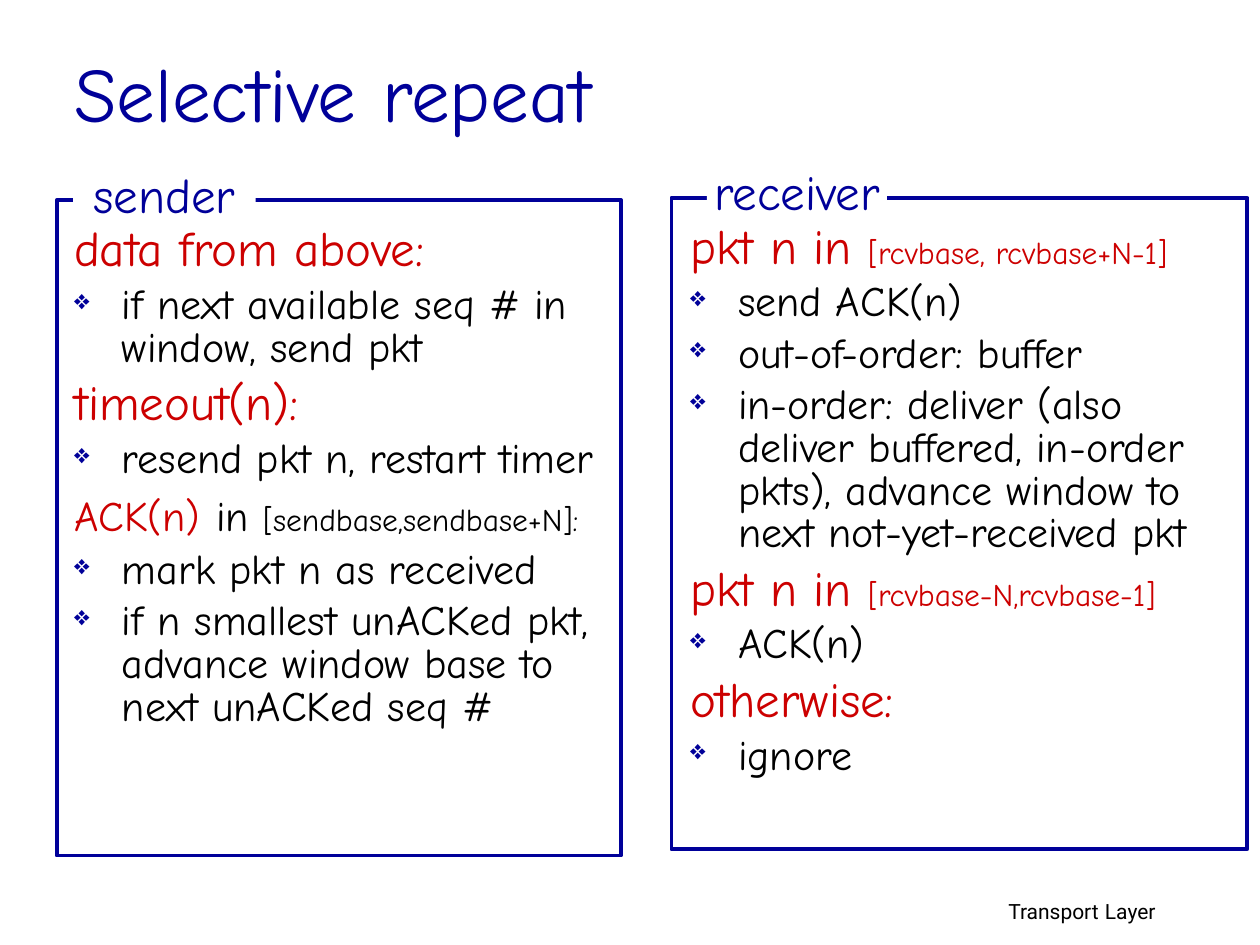
from dataclasses import dataclass

from lxml.etree import SubElement
from pptx import Presentation
from pptx.dml.color import RGBColor
from pptx.enum.shapes import MSO_SHAPE as Preset
from pptx.enum.text import MSO_ANCHOR as Anchor, PP_ALIGN as Align
from pptx.oxml.ns import qn
from pptx.util import Inches, Pt

NAVY = RGBColor(0x00, 0x00, 0x99)
RED = RGBColor(0xCC, 0x00, 0x00)
BLACK = RGBColor(0x00, 0x00, 0x00)
WHITE = RGBColor(0xFF, 0xFF, 0xFF)
HAND, SANS = "Comic Neue", "Roboto"
COLUMNS, ROWS = 100, 75
HANGING = Inches(0.38)


@dataclass(frozen=True)
class Box:
    """A rectangle in columns and rows of the slide grid."""
    column: float
    row: float
    columns: float
    rows: float


@dataclass(frozen=True)
class Span:
    """A run of text in one style."""
    text: str
    size: int = 24
    color: RGBColor = BLACK
    font: str = HAND


@dataclass(frozen=True)
class Line:
    """A heading or a bulleted item."""
    spans: tuple[Span, ...]
    bullet: bool = False


@dataclass(frozen=True)
class Panel:
    """A framed list with its name set into the top edge."""
    name: str
    body: Box
    frame: Box
    gap: Box
    label: Box
    lines: tuple[Line, ...]


def heading(text: str, detail: str = "") -> Line:
    """Return a red heading with an optional smaller detail."""
    spans = (Span(text, 28, RED),)
    return Line(spans + (Span(detail, 18, RED),) if detail else spans)


def item(text: str) -> Line:
    """Return a bulleted item."""
    return Line((Span(text),), bullet=True)


PANELS = (
    Panel("sender", Box(4.9, 17.5, 44.4, 50.8), Box(4.5, 15.9, 44.8, 52),
          Box(5.8, 12.6, 14.5, 5.7), Box(5.8, 12.6, 14.5, 5.7), (
              heading("data from above:"),
              item("if next available seq # in window, send pkt"),
              heading("timeout(n):"),
              item("resend pkt n, restart timer"),
              Line((Span("ACK(n)", color=RED), Span(" ", 28, RED), Span("in "),
                    Span("[sendbase,sendbase+N]:", 18))),
              item("mark pkt n as received"),
              item("if n smallest unACKed pkt, advance window base to next unACKed seq #"))),
    Panel("receiver", Box(53.8, 17.3, 45.3, 50.8), Box(53.3, 15.7, 45.7, 51.7),
          Box(56.1, 14.2, 14.3, 3.1), Box(54.6, 12.3, 17.3, 5.7), (
              heading("pkt n in ", "[rcvbase, rcvbase+N-1]"),
              item("send ACK(n)"),
              item("out-of-order: buffer"),
              item("in-order: deliver (also deliver buffered, in-order pkts), "
                   "advance window to next not-yet-received pkt"),
              heading("pkt n in ", "[rcvbase-N,rcvbase-1]"),
              item("ACK(n)"),
              heading("otherwise:"),
              item("ignore"))),
)


def place(deck, box: Box) -> tuple[int, int, int, int]:
    """Return left, top, width and height of a grid box."""
    across, down = deck.slide_width / COLUMNS, deck.slide_height / ROWS
    return (round(box.column * across), round(box.row * down),
            round(box.columns * across), round(box.rows * down))


def add_spans(para, spans: tuple[Span, ...]) -> None:
    """Add styled runs to a paragraph."""
    for span in spans:
        run = para.add_run()
        run.text = span.text
        run.font.name = span.font
        run.font.size = Pt(span.size)
        run.font.color.rgb = span.color


def format_line(para, bullet: bool) -> None:
    """Set spacing, hanging indent and bullet of a list paragraph."""
    para.line_spacing = 0.85
    props = para._p.get_or_add_pPr()
    props.set("marL", str(HANGING))
    props.set("indent", str(-HANGING))
    before = SubElement(props, qn("a:spcBef"))
    SubElement(before, qn("a:spcPct"), val="20000")
    if bullet:
        color = SubElement(props, qn("a:buClr"))
        SubElement(color, qn("a:srgbClr"), val=str(NAVY))
        SubElement(props, qn("a:buSzPct"), val="65000")
        SubElement(props, qn("a:buChar"), char="❖")
    else:
        SubElement(props, qn("a:buNone"))


def add_text(deck, page, box: Box, spans: tuple[Span, ...], align=Align.LEFT,
             anchor=Anchor.TOP, wrap: bool = True) -> None:
    """Add a text box of one paragraph."""
    frame = page.shapes.add_textbox(*place(deck, box)).text_frame
    frame.word_wrap = wrap
    frame.vertical_anchor = anchor
    para = frame.paragraphs[0]
    para.alignment = align
    add_spans(para, spans)


def add_list(deck, page, box: Box, lines: tuple[Line, ...]) -> None:
    """Add a text box of headings and bulleted items."""
    frame = page.shapes.add_textbox(*place(deck, box)).text_frame
    frame.word_wrap = True
    for index, line in enumerate(lines):
        para = frame.add_paragraph() if index else frame.paragraphs[0]
        format_line(para, line.bullet)
        add_spans(para, line.spans)


def add_rectangle(deck, page, box: Box, filled: bool) -> None:
    """Add a white patch or a navy outline."""
    shape = page.shapes.add_shape(Preset.RECTANGLE, *place(deck, box))
    shape.shadow.inherit = False
    if filled:
        shape.fill.solid()
        shape.fill.fore_color.rgb = WHITE
        shape.line.fill.background()
    else:
        shape.fill.background()
        shape.line.color.rgb = NAVY
        shape.line.width = Pt(2.25)


def add_panel(deck, page, panel: Panel) -> None:
    """Add a list, its frame and its name."""
    add_list(deck, page, panel.body, panel.lines)
    add_rectangle(deck, page, panel.frame, filled=False)
    add_rectangle(deck, page, panel.gap, filled=True)
    add_text(deck, page, panel.label, (Span(panel.name, 28, NAVY),),
             align=Align.CENTER, wrap=False)


def main() -> None:
    """Build and save the slide."""
    deck = Presentation()
    deck.slide_width, deck.slide_height = Inches(10), Inches(7.5)
    page = deck.slides.add_slide(deck.slide_layouts[6])
    add_text(deck, page, Box(61, 70.5, 31.7, 3.1),
             (Span("Transport", 12, font=SANS), Span(" ", 14, font=SANS),
              Span("Layer", 12, font=SANS)), align=Align.RIGHT)
    add_text(deck, page, Box(4.9, 2.7, 85, 9.2),
             (Span("Selective repeat", 44, NAVY),), anchor=Anchor.MIDDLE)
    for panel in PANELS:
        add_panel(deck, page, panel)
    deck.save("out.pptx")


if __name__ == "__main__":
    main()
